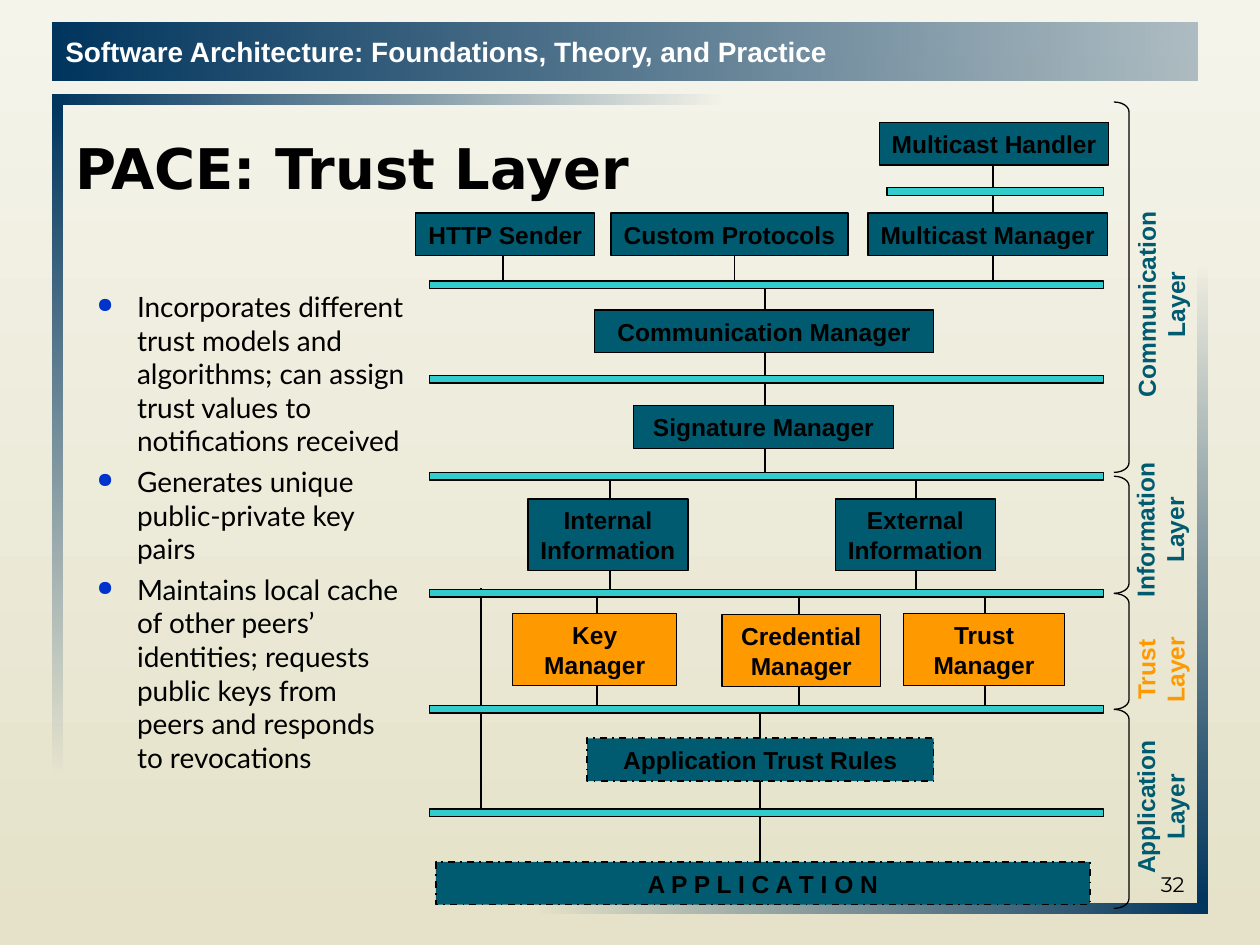
"""Build the PACE trust layer architecture slide."""
from dataclasses import dataclass

from pptx import Presentation
from pptx.dml.color import RGBColor
from pptx.enum.dml import MSO_LINE_DASH_STYLE as Dash
from pptx.enum.shapes import MSO_CONNECTOR as Connector, MSO_SHAPE as Shape
from pptx.enum.text import MSO_ANCHOR as Anchor, PP_ALIGN as Align
from pptx.oxml.xmlchemy import OxmlElement
from pptx.util import Inches, Pt


@dataclass(frozen=True)
class Theme:
    navy: str = "00355E"
    teal: str = "005B70"
    aqua: str = "33CCCC"
    orange: str = "FF9900"
    blue: str = "0033CC"
    black: str = "000000"
    white: str = "FFFFFF"
    paper: tuple = ("F5F4EB", "E5E2C9")
    heading: str = "DejaVu Sans"
    label: str = "Arial"
    body: str = "Lato"
    number: str = "Montserrat"
    title_size: int = 32
    body_size: int = 16
    label_size: int = 14
    number_size: int = 12
    thin: float = 0.75
    wire: float = 1


THEME = Theme()

BANNER = "Software Architecture: Foundations, Theory, and Practice"
TITLE = "PACE: Trust Layer"
NUMBER = "32"
BULLETS = [
    "Incorporates different trust models and algorithms; can assign trust values to notifications received",
    "Generates unique public-private key pairs",
    "Maintains local cache of other peers’ identities; requests public keys from peers and responds to revocations",
]

FRAME_BARS = [
    (0.42, 0.75, 5.33, 0, (100, 0)),
    (-2.21, 3.46, 5.33, 90, (100, 0)),
    (4.25, 7.17, 5.33, 0, (0, 100)),
    (7, 4.58, 5.08, 90, (0, 100)),
]

COMPONENTS = [
    (["Multicast Handler"], 6.98, 0.97, 1.82, THEME.teal, False),
    (["HTTP Sender"], 3.3, 1.69, 1.42, THEME.teal, False),
    (["Custom Protocols"], 4.85, 1.69, 1.88, THEME.teal, False),
    (["Multicast Manager"], 6.89, 1.69, 1.9, THEME.teal, False),
    (["Communication Manager"], 4.72, 2.46, 2.69, THEME.teal, False),
    (["Signature Manager"], 5.03, 3.22, 2.06, THEME.teal, False),
    (["Internal", "Information"], 4.19, 3.96, 1.27, THEME.teal, False),
    (["External", "Information"], 6.63, 3.96, 1.27, THEME.teal, False),
    (["Key", "Manager"], 4.07, 4.87, 1.3, THEME.orange, False),
    (["Credential", "Manager"], 5.73, 4.88, 1.26, THEME.orange, False),
    (["Trust", "Manager"], 7.17, 4.87, 1.28, THEME.orange, False),
    (["Application Trust Rules"], 4.66, 5.86, 2.75, THEME.teal, True),
    (["A P P L I C A T I O N"], 3.46, 6.84, 5.19, THEME.teal, True),
]

MULTICAST_BUS = (7.04, 1.49, 1.72)
BUSES = [MULTICAST_BUS] + [(3.41, top, 5.35) for top in (2.23, 2.98, 3.75, 4.68, 5.6, 6.42)]
WIRES = [
    (3.82, 4.67, 6.42),
    *[(x, 3.78, 4.71) for x in (4.84, 7.27)],
    *[(x, 4.71, 5.63) for x in (4.74, 6.34, 7.82)],
    (6.03, 5.63, 7.03),
    (6.07, 2.25, 3.78),
    *[(x, 1.9, 2.25) for x in (3.99, 5.83)],
    (7.88, 1.15, 2.25),
]

LAYERS = [
    ("Communication", 0.81, 3.75, (8.38, 2.13, 1.67), THEME.teal),
    ("Information", 3.78, 4.71, (8.57, 3.92, 1.27), THEME.teal),
    ("Trust", 4.71, 5.63, (8.85, 5.03, 0.72), THEME.orange),
    ("Application", 5.63, 7.21, (8.28, 6.12, 1.86), THEME.teal),
]
BRACKET_LEFT, BRACKET_WIDTH, BRACKET_CURVE = 8.84, 0.12, 0.64


def rgb(color):
    """Turn a hex string into a colour."""
    return RGBColor.from_string(color)


def text_height(lines):
    """Return the height of a label box in inches."""
    return 0.11 + 0.23 * len(lines)


def add_gradient(fill, colors, angle):
    """Apply a two-stop gradient."""
    fill.gradient()
    fill.gradient_angle = angle
    for stop, color, position in zip(fill.gradient_stops, colors, (0, 1)):
        stop.color.rgb = rgb(color)
        stop.position = position


def add_bullet(para):
    """Give a paragraph a hanging round bullet."""
    properties = para._p.get_or_add_pPr()
    properties.set("marL", str(Inches(0.49)))
    properties.set("indent", str(Inches(-0.32)))
    color = OxmlElement("a:buClr")
    value = OxmlElement("a:srgbClr")
    value.set("val", THEME.blue)
    color.append(value)
    size = OxmlElement("a:buSzPct")
    size.set("val", "75000")
    mark = OxmlElement("a:buChar")
    mark.set("char", "●")
    for element in (color, size, mark):
        properties.append(element)


def write(box, lines, *, font=THEME.label, size=THEME.label_size, color=THEME.black,
          bold=True, align=Align.LEFT, anchor=Anchor.TOP, wrap=True, bullet=False, gap=0):
    """Write formatted paragraphs into a shape."""
    frame = box.text_frame
    frame.word_wrap = wrap
    frame.vertical_anchor = anchor
    for index, line in enumerate(lines):
        para = frame.add_paragraph() if index else frame.paragraphs[0]
        if bullet:
            add_bullet(para)
        para.alignment = align
        para.space_before = Pt(gap if index else 0)
        span = para.add_run()
        span.text = line
        span.font.name = font
        span.font.size = Pt(size)
        span.font.bold = bold
        span.font.color.rgb = rgb(color)


def add_block(page, kind, left, top, width, height, fill=None, line=None, weight=THEME.thin):
    """Add a shape with plain fill and outline."""
    block = page.shapes.add_shape(kind, *map(Inches, (left, top, width, height)))
    block.shadow.inherit = False
    if fill:
        block.fill.solid()
        block.fill.fore_color.rgb = rgb(fill)
    else:
        block.fill.background()
    if line:
        block.line.color.rgb = rgb(line)
        block.line.width = Pt(weight)
    else:
        block.line.fill.background()
    return block


def add_fade(page, left, top, width, height, alphas, rotation=0):
    """Add a navy bar that fades along its length."""
    bar = add_block(page, Shape.RECTANGLE, left, top, width, height)
    add_gradient(bar.fill, (THEME.navy, THEME.navy), 0)
    bar.rotation = rotation
    for color, alpha in zip(bar._element.xpath(".//a:gs/a:srgbClr"), alphas):
        opacity = OxmlElement("a:alpha")
        opacity.set("val", str(alpha * 1000))
        color.append(opacity)
    return bar


def add_text(page, lines, left, top, width, height, **style):
    """Add a text box."""
    box = page.shapes.add_textbox(*map(Inches, (left, top, width, height)))
    write(box, lines, **style)
    return box


def add_wire(page, x, top, bottom):
    """Add a vertical connecting line."""
    wire = page.shapes.add_connector(Connector.STRAIGHT, *map(Inches, (x, top, x, bottom)))
    wire.line.color.rgb = rgb(THEME.black)
    wire.line.width = Pt(THEME.wire)
    wire._element.spPr.append(OxmlElement("a:effectLst"))


def add_layer(page, name, top, bottom, place, color):
    """Add a bracket and its upright layer label."""
    bracket = add_block(page, Shape.RIGHT_BRACKET, BRACKET_LEFT, top, BRACKET_WIDTH,
                        bottom - top, line=THEME.black)
    bracket.adjustments[0] = BRACKET_CURVE
    lines = [name, "Layer"]
    label = add_text(page, lines, *place, text_height(lines), color=color,
                     align=Align.CENTER, wrap=False)
    label.rotation = 270


def add_component(page, lines, left, top, width, fill, dashed):
    """Add a labelled component box."""
    box = add_block(page, Shape.RECTANGLE, left, top, width, text_height(lines), fill,
                    THEME.black, THEME.wire if dashed else THEME.thin)
    if dashed:
        box.line.dash_style = Dash.DASH_DOT
    write(box, lines, align=Align.CENTER, anchor=Anchor.MIDDLE, wrap=False)


def main():
    """Assemble and save the deck."""
    deck = Presentation()
    deck.slide_width, deck.slide_height = Inches(10), Inches(7.5)
    page = deck.slides.add_slide(deck.slide_layouts[6])
    add_gradient(page.background.fill, THEME.paper, 270)
    for left, top, length, rotation, alphas in FRAME_BARS:
        add_fade(page, left, top, length, 0.08, alphas, rotation)
    banner = add_fade(page, 0.42, 0.18, 9.08, 0.46, (100, 29))
    write(banner, [BANNER], size=THEME.body_size, color=THEME.white, anchor=Anchor.MIDDLE, wrap=False)
    add_text(page, [TITLE], 0.5, 0.83, 9, 1, font=THEME.heading, size=THEME.title_size,
             anchor=Anchor.MIDDLE)
    add_text(page, [NUMBER], 7.17, 6.67, 2.33, 0.5, font=THEME.number, size=THEME.number_size,
             bold=False, align=Align.RIGHT, anchor=Anchor.BOTTOM)
    for wire in WIRES:
        add_wire(page, *wire)
    for layer in LAYERS:
        add_layer(page, *layer)
    for component in COMPONENTS:
        add_component(page, *component)
    for left, top, width in BUSES:
        add_block(page, Shape.RECTANGLE, left, top, width, 0.06, THEME.aqua, THEME.black)
    add_text(page, BULLETS, 0.5, 2.25, 2.83, 4.33, font=THEME.body, size=THEME.body_size,
             bold=False, bullet=True, gap=4)
    deck.save("out.pptx")


if __name__ == "__main__":
    main()
